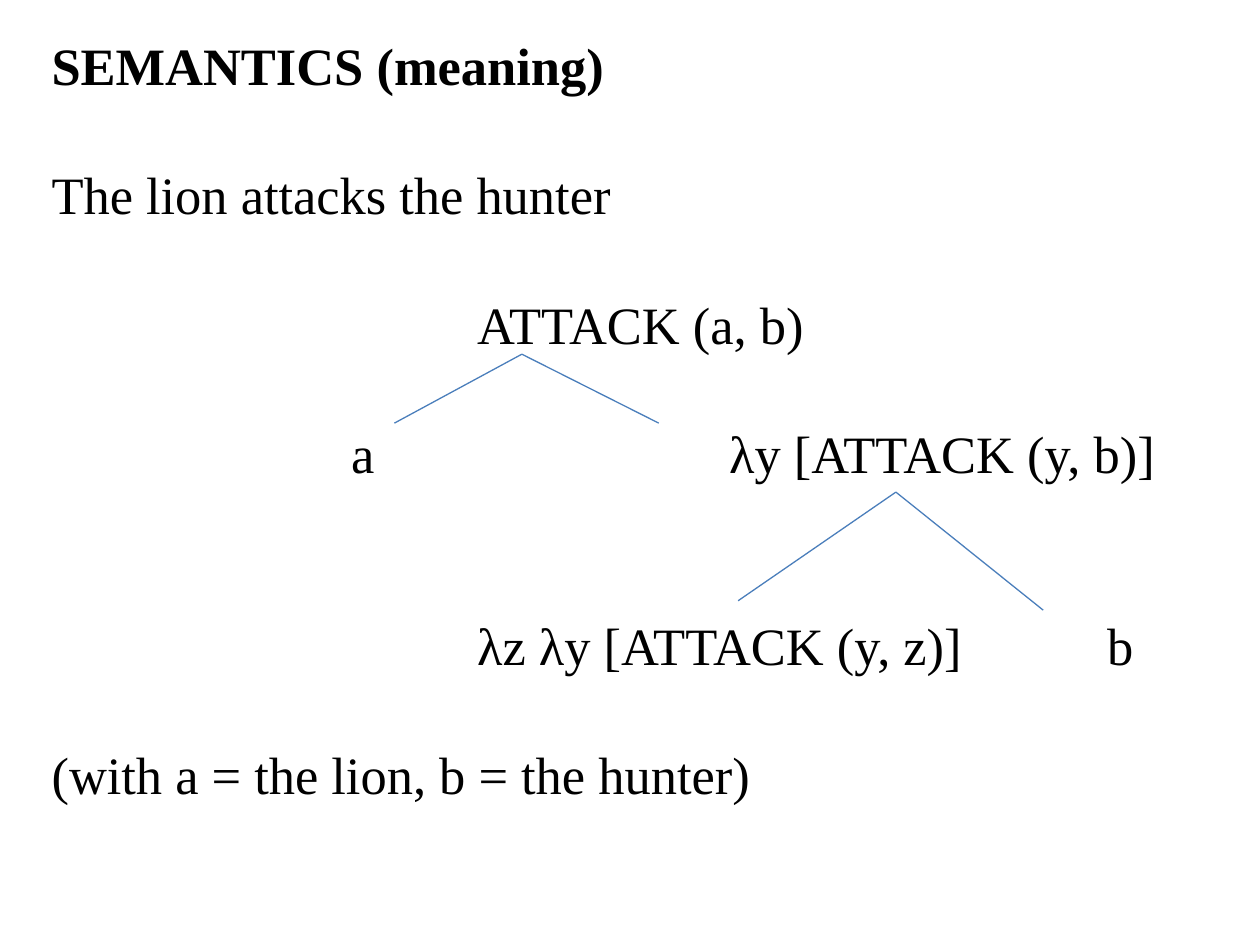
"""Build the slide on sentence meaning with its derivation tree."""
from lxml.etree import SubElement
from pptx import Presentation
from pptx.dml.color import RGBColor
from pptx.enum.shapes import MSO_CONNECTOR as Connector
from pptx.oxml.ns import qn
from pptx.util import Cm, Pt

BLACK = RGBColor(0x00, 0x00, 0x00)
BLUE = RGBColor(0x4A, 0x7E, 0xBB)
FONT = "Times New Roman"
TAB_STEP, TAB_OFFSET = 2.54, 0.96
ROW_GAP, WIDE_GAP = Pt(45), Pt(81)

ROWS = [
    ("SEMANTICS (meaning)", (), Pt(0)),
    ("The lion attacks the hunter", (), ROW_GAP),
    ("\tATTACK (a, b)", (3,), ROW_GAP),
    ("\ta\tλy [ATTACK (y, b)]", (2, 5), ROW_GAP),
    ("\tλz λy [ATTACK (y, z)]\tb", (3, 8), WIDE_GAP),
    ("(with a = the lion, b = the hunter)", (), ROW_GAP),
]
BRANCHES = [
    ((10.52, 7.14), [(7.95, 8.53), (13.28, 8.53)]),
    ((18.06, 9.92), [(14.88, 12.11), (21.03, 12.3)]),
]


def add_tabs(para, columns):
    tabs = SubElement(para._p.get_or_add_pPr(), qn("a:tabLst"))
    for column in columns:
        position = Cm(column * TAB_STEP + TAB_OFFSET)
        SubElement(tabs, qn("a:tab"), pos=str(position), algn="l")


def add_rows(page):
    box = page.shapes.add_textbox(Cm(0.79), Cm(0.79), Cm(23.34), Cm(17.27))
    frame = box.text_frame
    frame.word_wrap = True
    for index, (text, columns, gap) in enumerate(ROWS):
        para = frame.add_paragraph() if index else frame.paragraphs[0]
        para.text = text
        para.line_spacing = 0.8
        para.space_before = gap
        if columns:
            add_tabs(para, columns)
        for span in para.runs:
            span.font.name = FONT
            span.font.size = Pt(30)
            span.font.bold = index == 0
            span.font.color.rgb = BLACK


def add_branches(page):
    for apex, ends in BRANCHES:
        for end in ends:
            points = [Cm(value) for value in apex + end]
            line = page.shapes.add_connector(Connector.STRAIGHT, *points)
            line.line.color.rgb = BLUE
            line.line.width = Pt(0.75)
            SubElement(line._element.spPr, qn("a:effectLst"))


def main():
    deck = Presentation()
    deck.slide_width, deck.slide_height = Cm(25.4), Cm(19.05)
    page = deck.slides.add_slide(deck.slide_layouts[6])
    add_rows(page)
    add_branches(page)
    deck.save("out.pptx")


if __name__ == "__main__":
    main()
